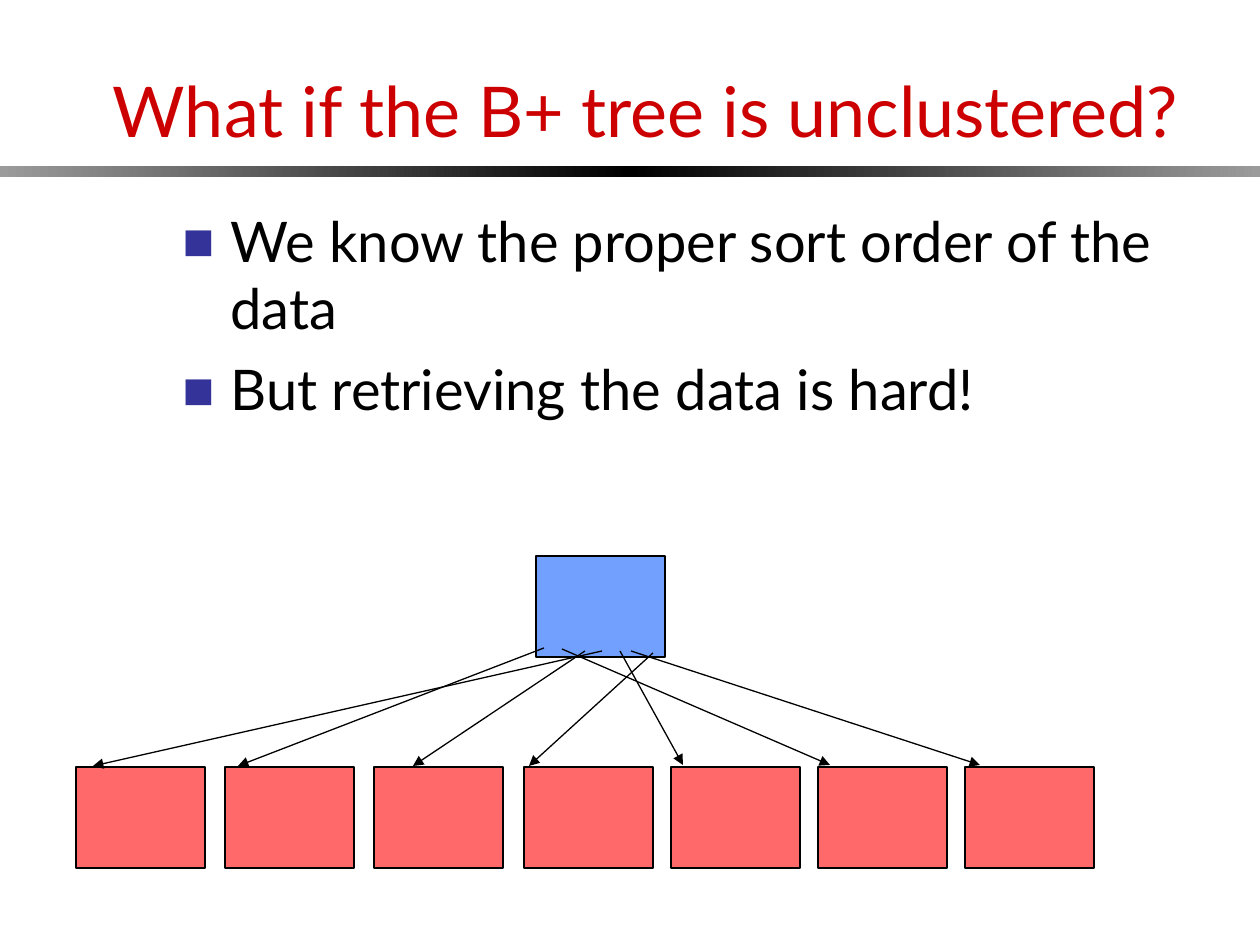
from lxml import etree
from pptx import Presentation
from pptx import util as u
from pptx.dml.color import RGBColor
from pptx.enum import shapes, text
from pptx.oxml import ns

PX = 914400 / 126
FONT = "Lato"
LEAF_LEFTS = (0, 149, 298, 448, 595, 742, 889)
POINTERS = (
    ((468, 92), (162, 210)),
    ((486, 93), (754, 209)),
    ((509, 95), (337, 210)),
    ((526, 95), (17, 210)),
    ((544, 95), (607, 209)),
    ((555, 95), (904, 209)),
    ((577, 97), (453, 210)),
)


def px(*lengths):
    """Turn pixel lengths into EMU."""
    return [u.Emu(round(length * PX)) for length in lengths]


def rgb(code):
    """Turn a hex string into a colour."""
    return RGBColor.from_string(code)


def add_child(parent, tag, **attributes):
    """Append a DrawingML element to a parent."""
    return etree.SubElement(parent, ns.qn(f"a:{tag}"), attributes)


def place(holder, box, anchor):
    """Move a placeholder to its box and fix its text frame."""
    holder.left, holder.top, holder.width, holder.height = px(*box)
    frame = holder.text_frame
    frame.auto_size = text.MSO_AUTO_SIZE.NONE
    frame.word_wrap = True
    frame.vertical_anchor = anchor
    return frame


def add_run(paragraph, words, size, color):
    """Add one formatted run."""
    run = paragraph.add_run()
    run.text = words
    run.font.name = FONT
    run.font.size = u.Pt(size)
    run.font.color.rgb = rgb(color)


def add_rect(slide, box):
    """Add a rectangle without a shadow."""
    rect = slide.shapes.add_shape(shapes.MSO_SHAPE.RECTANGLE, *px(*box))
    rect.shadow.inherit = False
    return rect


def add_rule(slide, box):
    """Draw the divider, black in the middle and grey at both ends."""
    left, top, width, height = box
    half = width // 2
    for x, colors in ((left, ("9B9B9B", "000000")), (left + half, ("000000", "9B9B9B"))):
        bar = add_rect(slide, (x, top, half, height))
        bar.line.fill.background()
        bar.fill.gradient()
        bar.fill.gradient_angle = 0
        for stop, color in zip(bar.fill.gradient_stops, colors):
            stop.color.rgb = rgb(color)


def add_title(slide, box, words):
    """Fill the title placeholder."""
    frame = place(slide.shapes.title, box, text.MSO_ANCHOR.BOTTOM)
    heading = frame.paragraphs[0]
    heading.alignment = text.PP_ALIGN.CENTER
    add_run(heading, words, 40, "CC0000")


def add_points(slide, box, points):
    """Fill the body placeholder with square-bulleted points."""
    frame = place(slide.placeholders[1], box, text.MSO_ANCHOR.TOP)
    indent = px(48)[0]
    for index, words in enumerate(points):
        point = frame.add_paragraph() if index else frame.paragraphs[0]
        point.space_before = u.Pt(8)
        props = point._p.get_or_add_pPr()
        props.set("marL", str(indent))
        props.set("indent", str(-indent))
        add_child(add_child(props, "buClr"), "srgbClr", val="333399")
        add_child(props, "buSzPct", val="60000")
        add_child(props, "buFont", typeface=FONT)
        add_child(props, "buChar", char="■")
        add_run(point, words, 32, "000000")


def add_node(slide, box, color):
    """Draw one outlined tree node."""
    node = add_rect(slide, box)
    node.fill.solid()
    node.fill.fore_color.rgb = rgb(color)
    node.line.color.rgb = rgb("000000")
    node.line.width = u.Pt(0.75)


def add_pointer(slide, start, end):
    """Draw one arrow from the index to a data page."""
    pointer = slide.shapes.add_connector(
        shapes.MSO_CONNECTOR.STRAIGHT, *px(*start, *end))
    pointer.line.color.rgb = rgb("000000")
    pointer.line.width = u.Pt(0.75)
    add_child(pointer.line._get_or_add_ln(), "tailEnd", type="triangle")
    add_child(pointer._element.spPr, "effectLst")


def add_tree(slide, box):
    """Draw the index node, the data pages and the crossing pointers."""
    left, top, width, height = box
    node_width, node_height = 129, 101
    for x in LEAF_LEFTS:
        add_node(slide, (left + x, top + height - node_height,
                         node_width, node_height), "FF6969")
    add_node(slide, (left + 460, top, node_width, node_height), "71A0FF")
    for ends in POINTERS:
        add_pointer(slide, *((left + x, top + y) for x, y in ends))


def main():
    """Build and save the slide."""
    deck = Presentation()
    deck.slide_width, deck.slide_height = px(1260, 945)
    slide = deck.slides.add_slide(deck.slide_layouts[1])
    add_rule(slide, (0, 166, 1260, 11))
    add_title(slide, (69, 0, 1153, 158), "What if the B+ tree is unclustered?")
    add_points(slide, (170, 200, 1071, 635), (
        "We know the proper sort order of the data",
        "But retrieving the data is hard!",
    ))
    add_tree(slide, (76, 556, 1018, 312))
    deck.save("out.pptx")


if __name__ == "__main__":
    main()
